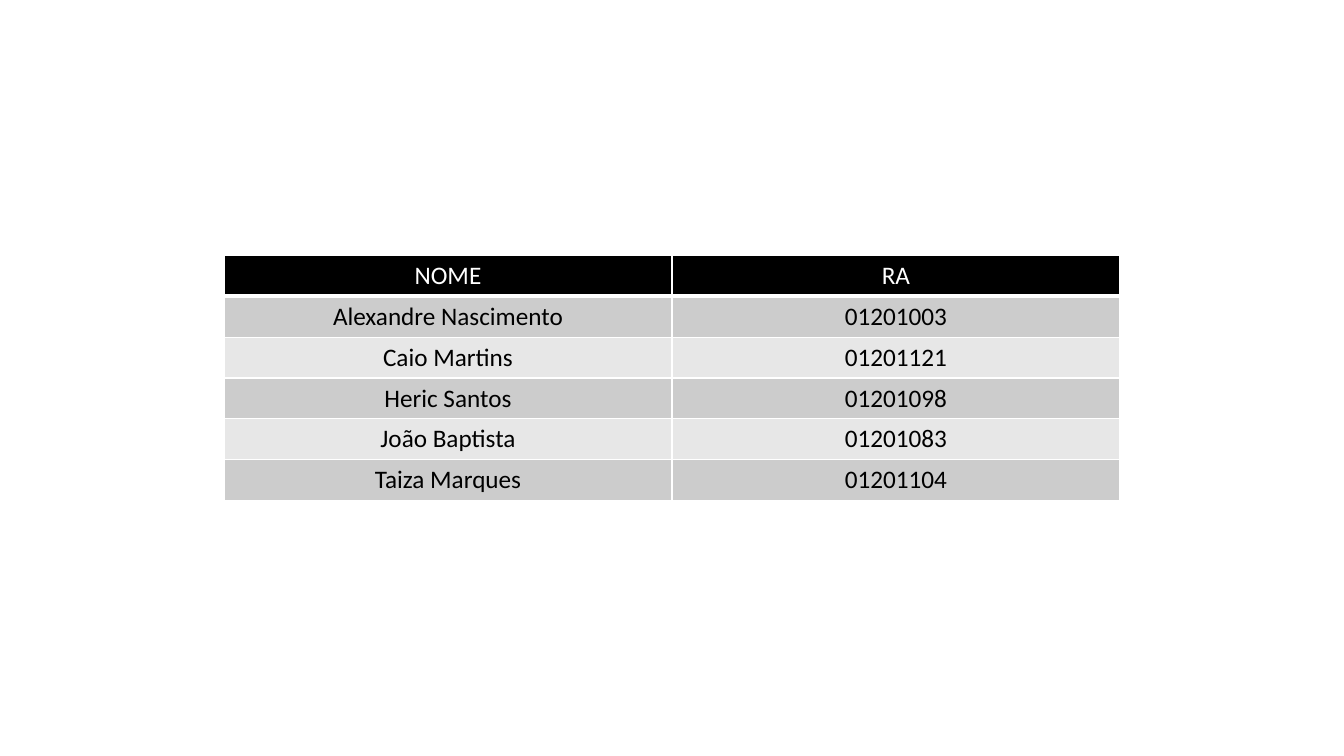
"""Build a slide with a centred table of student names and RA numbers."""
from lxml import etree
from pptx import Presentation
from pptx.dml.color import RGBColor
from pptx.enum.text import PP_ALIGN
from pptx.oxml.ns import qn
from pptx.util import Cm, Pt

CENTER = PP_ALIGN.CENTER
BLANK_LAYOUT = 6
THEME = {
    "font": "Calibri",
    "size": Pt(18),
    "border": "FFFFFF",
    "line": Pt(1),
    "header_line": Pt(3),
    "header": {"fill": "000000", "text": "FFFFFF"},
    "bands": [
        {"fill": "CCCCCC", "text": "000000"},
        {"fill": "E7E7E7", "text": "000000"},
    ],
}
STUDENTS = [
    ("NOME", "RA"),
    ("Alexandre Nascimento", "01201003"),
    ("Caio Martins", "01201121"),
    ("Heric Santos", "01201098"),
    ("João Baptista", "01201083"),
    ("Taiza Marques", "01201104"),
]


def add_border(cell, side, width):
    tc_pr = cell._tc.get_or_add_tcPr()
    ln = etree.SubElement(tc_pr, qn(f"a:{side}"), w=str(width))
    fill = etree.SubElement(ln, qn("a:solidFill"))
    etree.SubElement(fill, qn("a:srgbClr"), val=THEME["border"])


prs = Presentation()
prs.slide_width, prs.slide_height = Cm(33.87), Cm(19.05)
s = prs.slides.add_slide(prs.slide_layouts[BLANK_LAYOUT])

col_width, row_height = Cm(11.29), Cm(1.03)
n_rows, n_cols = len(STUDENTS), len(STUDENTS[0])
width, height = n_cols * col_width, n_rows * row_height
left = (prs.slide_width - width) // 2
top = (prs.slide_height - height) // 2
table = s.shapes.add_table(n_rows, n_cols, left, top, width, height).table

for i, student in enumerate(STUDENTS):
    style = THEME["bands"][(i - 1) % 2] if i else THEME["header"]
    bottom = THEME["line"] if i else THEME["header_line"]
    for j, text in enumerate(student):
        cell = table.cell(i, j)
        for side in ("lnL", "lnR", "lnT"):
            add_border(cell, side, THEME["line"])
        add_border(cell, "lnB", bottom)
        cell.fill.solid()
        cell.fill.fore_color.rgb = RGBColor.from_string(style["fill"])
        p = cell.text_frame.paragraphs[0]
        p.alignment = CENTER
        r = p.add_run()
        r.text = text
        font_format = {"name": THEME["font"], "size": THEME["size"], "bold": False}
        for name, value in font_format.items():
            setattr(r.font, name, value)
        r.font.color.rgb = RGBColor.from_string(style["text"])

prs.save("out.pptx")
